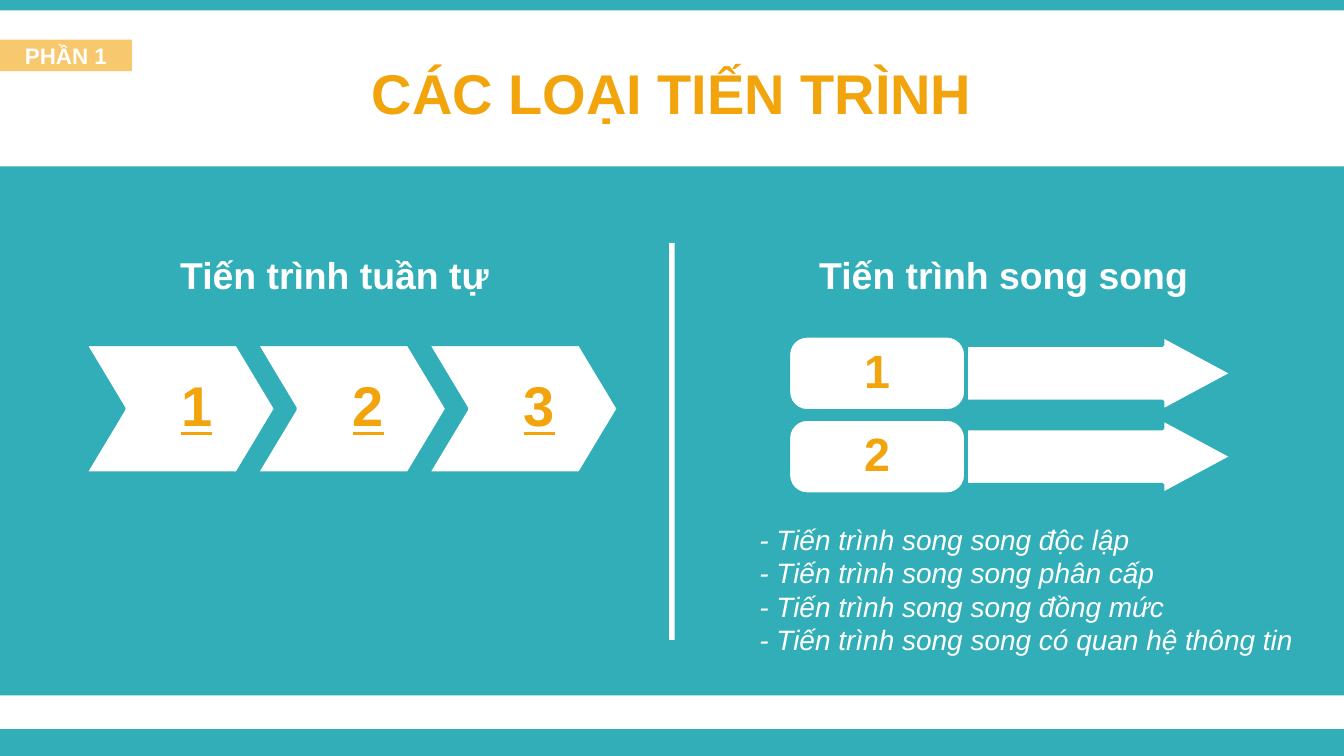
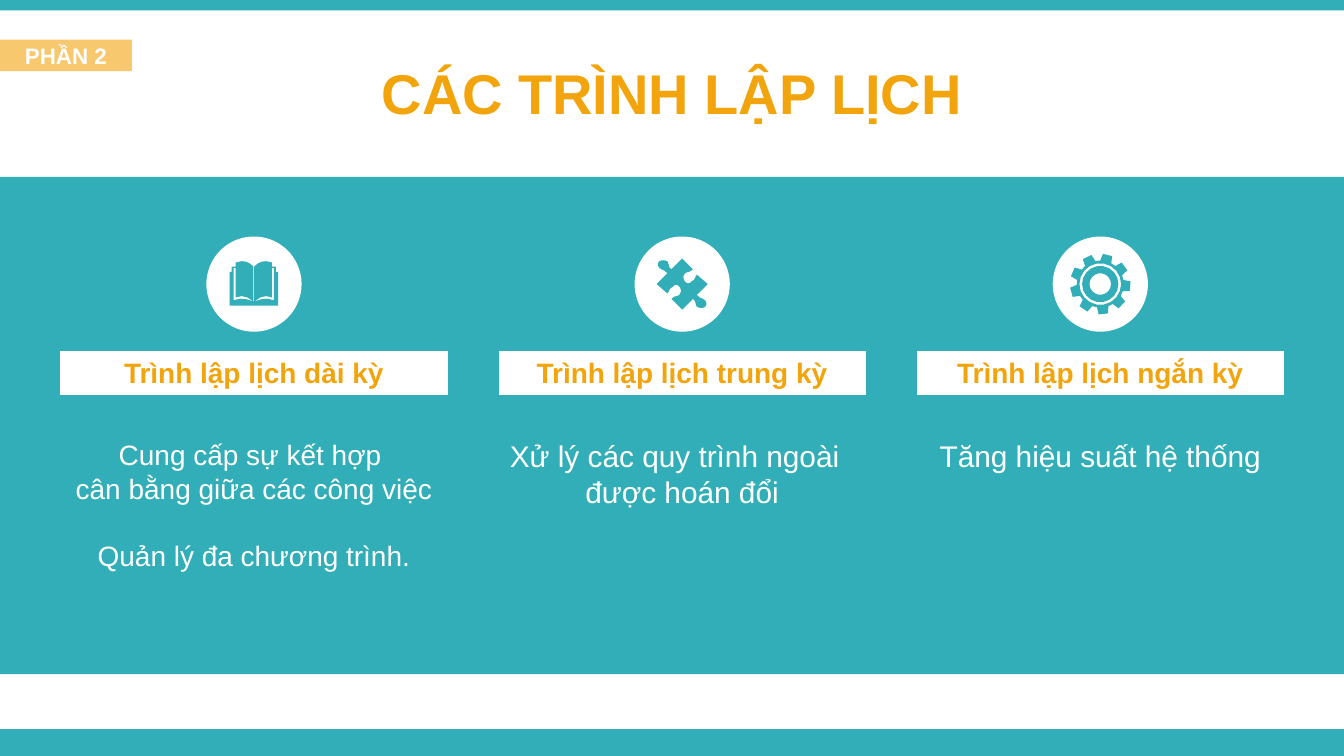
from math import cos, radians, sin

from lxml import etree
from pptx import Presentation
from pptx.dml.color import RGBColor
from pptx.enum import shapes, text
from pptx.oxml import ns
from pptx.util import Pt

TEAL = RGBColor(0x32, 0xAE, 0xB8)
ORANGE = RGBColor(0xF2, 0xA4, 0x0D)
WHITE = RGBColor(0xFF, 0xFF, 0xFF)
FONT = "Arial"
WIDTH, HEIGHT = 720, 405
INCH = 72

SHAPE = shapes.MSO_SHAPE
CENTER = text.PP_ALIGN.CENTER
JUSTIFY = text.PP_ALIGN.JUSTIFY
MIDDLE = text.MSO_ANCHOR.MIDDLE


def paint(sp, fill, line=None):
    sp.shadow.inherit = False
    sp.fill.solid()
    sp.fill.fore_color.rgb = fill
    if line is None:
        sp.line.fill.background()
    else:
        sp.line.color.rgb = line
        sp.line.width = Pt(2)


def add_shape(parent, kind, box, fill, line=None, adjust=()):
    sp = parent.add_shape(kind, *map(Pt, box))
    for i, value in enumerate(adjust):
        sp.adjustments[i] = value
    paint(sp, fill, line)
    return sp


def write(sp, lines, size, color, bold=False, italic=False, underline=False,
          align=CENTER, anchor=MIDDLE):
    tf = sp.text_frame
    tf.word_wrap = True
    tf.vertical_anchor = anchor
    for i, line in enumerate(lines):
        p = tf.paragraphs[0] if i == 0 else tf.add_paragraph()
        p.text = line
        p.alignment = align
        font = p.font
        font.name, font.size, font.color.rgb = FONT, Pt(size), color
        font.bold, font.italic, font.underline = bold, italic, underline
    return tf


def add_text(s, box, lines, size, **style):
    sp = s.shapes.add_textbox(*map(Pt, box))
    return write(sp, lines, size, WHITE, anchor=text.MSO_ANCHOR.TOP, **style)


def set_insets(tf, left=0, bottom=0):
    tf.margin_left, tf.margin_bottom = Pt(left), Pt(bottom)
    tf.margin_right = tf.margin_top = 0


def write_number(sp, number, size, left=0, underline=False):
    tf = write(sp, [str(number)], size, ORANGE, bold=True, underline=underline)
    tf.paragraphs[0].line_spacing = 0.9
    set_insets(tf, left)


def base_slide(prs, title, part, band_top, band_height):
    """Add a slide with its title, edge bars, content band and part tag."""
    s = prs.slides.add_slide(prs.slide_layouts[5])
    for top, height in ((0, 5.6), (390.7, 14.3), (band_top, band_height)):
        add_shape(s.shapes, SHAPE.RECTANGLE, (0, top, WIDTH, height), TEAL)

    sp = s.shapes.title
    sp.left, sp.top, sp.width, sp.height = map(Pt, (0, 27, WIDTH, 45))
    write(sp, [title], 30, ORANGE, bold=True)

    tag = add_shape(s.shapes, SHAPE.RECTANGLE, (0, 21.2, 70.7, 17), ORANGE)
    color = tag.fill._xPr.find(".//" + ns.qn("a:srgbClr"))
    etree.SubElement(color, ns.qn("a:alpha"), val="60000")
    set_insets(write(tag, [part], 12, WHITE, bold=True))
    return s


def chevron_row(s, left, top, count):
    for i in range(count):
        sp = add_shape(s.shapes, SHAPE.CHEVRON, (left + i * 91.8, top, 102.2, 69),
                       WHITE, TEAL, (0.3,))
        write_number(sp, i + 1, 30, left=17.4, underline=True)


def parallel_rows(s, left, top, count):
    """Stack numbered boxes, each followed by an arrow."""
    box_width, height, pitch = 95.2, 40.3, 44.6
    for i in range(count):
        g = s.shapes.add_group_shape().shapes
        y = top + i * pitch
        add_shape(g, SHAPE.RIGHT_ARROW, (left + box_width, y, 142.8, height),
                  WHITE, TEAL, (0.75, 0.93))
        sp = add_shape(g, SHAPE.ROUNDED_RECTANGLE, (left, y, box_width, height),
                       WHITE, TEAL, (0.25,))
        write_number(sp, i + 1, 25)


def process_slide(prs):
    s = base_slide(prs, "CÁC LOẠI TIẾN TRÌNH", "PHẦN 1", 89.2, 283.4)
    half = 358.5
    headings = ("Tiến trình tuần tự", "Tiến trình song song")
    for i, heading in enumerate(headings):
        add_text(s, (i * half, 131.3, half, 31.5), [heading], 20, bold=True)
    add_shape(s.shapes, SHAPE.RECTANGLE, (half, 130.2, 3, 212.6), WHITE)
    chevron_row(s, 45.6, 184.5, 3)
    parallel_rows(s, half + 63.8, 179.9, 2)
    kinds = ("độc lập", "phân cấp", "đồng mức", "có quan hệ thông tin")
    add_text(s, (half + 41.2, 276.2, 323, 80),
             [f"- Tiến trình song song {kind}" for kind in kinds],
             15, italic=True, align=JUSTIFY)


def flatten(steps, pieces=3):
    """Turn points (x, y) and cubic curves (6 numbers) into a list of points."""
    pts = [steps[0]]
    for step in steps[1:]:
        if len(step) == 2:
            pts.append(step)
            continue
        x0, y0 = pts[-1]
        x1, y1, x2, y2, x3, y3 = step
        for k in range(1, pieces + 1):
            t = k / pieces
            u = 1 - t
            a, b, c, d = u ** 3, 3 * u * u * t, 3 * u * t * t, t ** 3
            pts.append((a * x0 + b * x1 + c * x2 + d * x3,
                        a * y0 + b * y1 + c * y2 + d * y3))
    return pts


def mirrored(pts):
    return [(-x, y) for x, y in reversed(pts)]


def polar(radius, degrees):
    return radius * cos(radians(degrees)), radius * sin(radians(degrees))


def ring(radius, count=18):
    return [polar(radius, 360 * k / count) for k in range(count)]


def book_outlines():
    cover = flatten([
        (-0.3, 13), (-0.3, -13), (-3, -16, -6, -17, -9, -17),
        (-13.5, -16), (-13.5, -13), (-16.5, -13),
        (-16.5, -9), (-18, -9), (-18, 16)])
    page_gap = flatten([
        (-0.3, 13), (-6, 11, -9, 10, -15, 12), (-15, -12), (-13.5, -12),
        (-13.5, 10), (-9, 8, -5, 9, -0.3, 13)])
    return [cover + mirrored(cover), page_gap, mirrored(page_gap)]


def puzzle_outlines():
    half = flatten([
        (-17, -17), (-18, -16, -19, -14, -17, -12),
        (-15, -10, -13, -11, -11, -8), (-19, 0), (-11, 7),
        (-9, 5, -10, 3, -7, 2), (-6, 0, -3, 0, -2, 2), (-1, 3, 0, 6, -2, 8),
        (-5, 10, -5, 8, -8, 11), (0, 19), (8, 11), (11, 13, 9, 14, 11, 17),
        (13, 18, 16, 18, 17, 17)])
    return [half + [(-x, -y) for x, y in half]]


def gear_outlines():
    tooth = ((17.5, -14), (22.6, -9), (22.6, 9), (17.5, 14))
    teeth = [polar(r, 40 * k - 76 + turn) for k in range(9) for r, turn in tooth]
    return [teeth, ring(15.5), ring(13.5), ring(8)]


def icon(s, cx, cy, outlines):
    """Draw a white disc with a symbol given in hundredths of an inch."""
    g = s.shapes.add_group_shape().shapes
    size = 51
    add_shape(g, SHAPE.OVAL, (cx - size / 2, cy - size / 2, size, size), WHITE)
    placed = [[(Pt(cx + x * INCH / 100), Pt(cy + y * INCH / 100)) for x, y in pts]
              for pts in outlines]
    builder = g.build_freeform(*placed[0][0], scale=1.0)
    for i, pts in enumerate(placed):
        if i:
            builder.move_to(*pts[0])
        builder.add_line_segments(pts[1:], close=True)
    paint(builder.convert_to_shape(), TEAL)


def scheduler_column(s, left, width, outlines, label, lines, size):
    icon(s, left + width / 2, 152.2, outlines)
    sp = add_shape(s.shapes, SHAPE.RECTANGLE, (left, 187.2, width, 25.4), WHITE, TEAL)
    set_insets(write(sp, [label], 15, ORANGE, bold=True), bottom=1)
    height = 7.2 + len(lines) * size * 1.2
    return add_text(s, (left, 230.8, width, height), lines, size)


def scheduler_slide(prs):
    s = base_slide(prs, "CÁC TRÌNH LẬP LỊCH", "PHẦN 2", 94.8, 266.4)
    columns = (
        (209.5, book_outlines(), "Trình lập lịch dài kỳ",
         ["Cung cấp sự kết hợp ", "cân bằng giữa các công việc",
          "Quản lý đa chương trình."], 15),
        (198.7, puzzle_outlines(), "Trình lập lịch trung kỳ",
         ["Xử lý các quy trình ngoài ", "được hoán đổi"], 16),
        (198.7, gear_outlines(), "Trình lập lịch ngắn kỳ",
         ["Tăng hiệu suất hệ thống"], 16),
    )
    left, gap = 31.3, 25.3
    frames = []
    for width, *content in columns:
        frames.append(scheduler_column(s, left, width, *content))
        left += width + gap
    long_term, medium_term, _ = frames
    long_term.paragraphs[2].space_before = Pt(18)
    medium_term.paragraphs[0].alignment = JUSTIFY


def main():
    prs = Presentation()
    prs.slide_width, prs.slide_height = Pt(WIDTH), Pt(HEIGHT)
    process_slide(prs)
    scheduler_slide(prs)
    prs.save("out.pptx")


if __name__ == "__main__":
    main()
